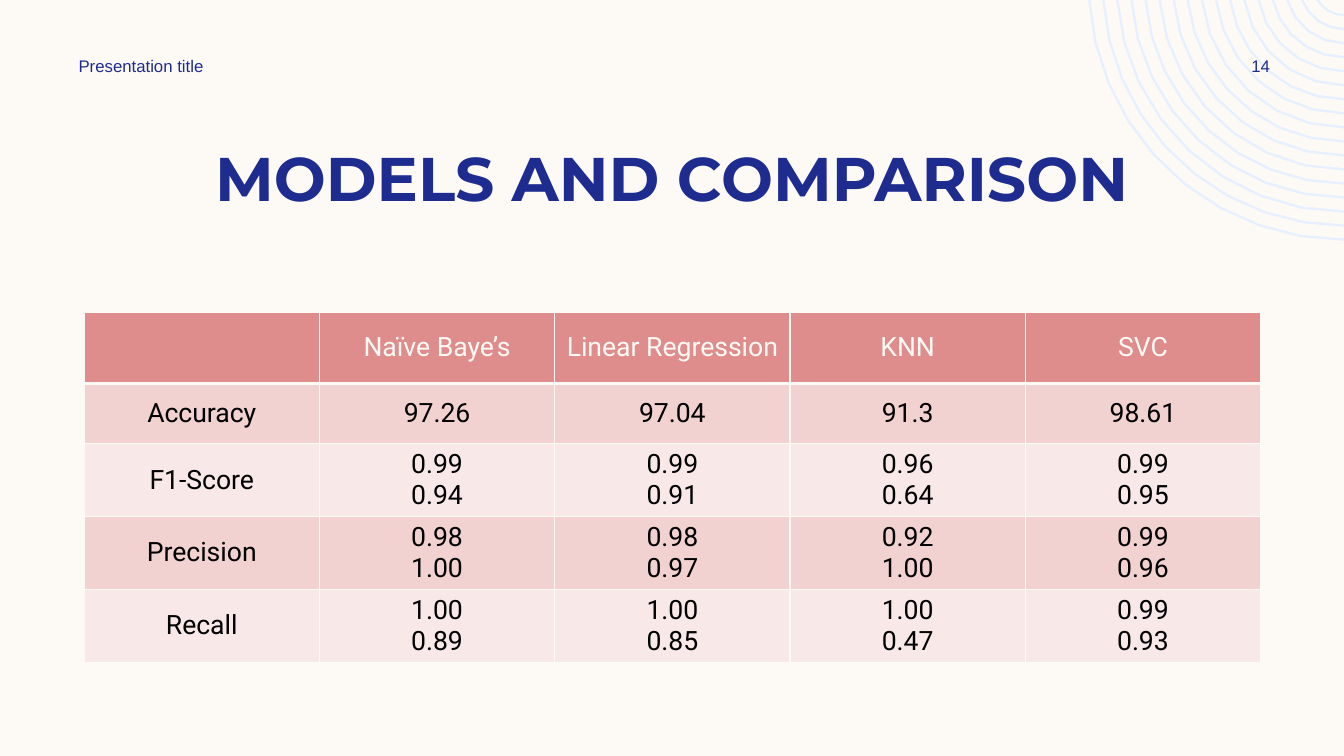
import math

import lxml.etree
import pptx
import pptx.dml.color
import pptx.enum.text
import pptx.oxml.ns
import pptx.util

Cm = pptx.util.Cm
Pt = pptx.util.Pt
ALIGN = pptx.enum.text.PP_ALIGN
MIDDLE = pptx.enum.text.MSO_ANCHOR.MIDDLE

COLORS = {
    "cream": "FDFAF6",
    "navy": "1F2C8F",
    "ring": "E6F0FE",
    "head": "DF8C8C",
    "dark": "F2D1D1",
    "light": "F8E8E8",
    "black": "000000",
}

ROWS = [
    ["", "Naïve Baye’s", "Linear Regression", "KNN", "SVC"],
    ["Accuracy", "97.26", "97.04", "91.3", "98.61"],
    ["F1-Score", "0.99\n0.94", "0.99\n0.91", "0.96\n0.64", "0.99\n0.95"],
    ["Precision", "0.98\n1.00", "0.98\n0.97", "0.92\n1.00", "0.99\n0.96"],
    ["Recall", "1.00\n0.89", "1.00\n0.85", "1.00\n0.47", "0.99\n0.93"],
]


def color(name):
    return pptx.dml.color.RGBColor.from_string(COLORS[name])


def write(frame, text, font="Arial", size=12, ink="navy", bold=False,
          align=ALIGN.LEFT):
    """Fill a text frame, one paragraph per line of text."""
    frame.text = text
    for para in frame.paragraphs:
        para.alignment = align
        para.line_spacing = 1.0
        para.font.name = font
        para.font.size = Pt(size)
        para.font.bold = bold
        para.font.color.rgb = color(ink)


class Deck:
    def __init__(self, width, height):
        self.show = pptx.Presentation()
        self.show.slide_width = Cm(width)
        self.show.slide_height = Cm(height)
        self.slide = None

    def page(self, back):
        self.slide = self.show.slides.add_slide(self.show.slide_layouts[5])
        fill = self.slide.background.fill
        fill.solid()
        fill.fore_color.rgb = color(back)

    def place(self, box, text, left, top, width, height, **style):
        box.left, box.top = Cm(left), Cm(top)
        box.width, box.height = Cm(width), Cm(height)
        box.text_frame.word_wrap = True
        box.text_frame.vertical_anchor = MIDDLE
        write(box.text_frame, text, **style)

    def title(self, text, *area, **style):
        self.place(self.slide.shapes.title, text, *area, **style)

    def label(self, text, *area, **style):
        box = self.slide.shapes.add_textbox(0, 0, 0, 0)
        self.place(box, text, *area, **style)

    def rings(self, mid_x, mid_y, first, last, count, band):
        """Draw concentric bands, cut by the top and right slide edges."""
        def arc(radius, steps):
            start = math.asin(-mid_y / radius)
            turn = (math.pi / 2 - start) / steps
            angles = [start + turn * i for i in range(steps + 1)]
            return [(Cm(mid_x - radius * math.cos(a)),
                     Cm(mid_y + radius * math.sin(a))) for a in angles]

        gap = (last - first) / (count - 1)
        form = None
        for i in range(count):
            outer = first + gap * i
            steps = 4 + i // 3
            points = arc(outer, steps) + arc(outer - band, steps)[::-1]
            if form is None:
                form = self.slide.shapes.build_freeform(*points[0])
            else:
                form.move_to(*points[0])
            form.add_line_segments(points[1:], close=True)
        shape = form.convert_to_shape()
        shape.shadow.inherit = False
        shape.fill.solid()
        shape.fill.fore_color.rgb = color("ring")
        shape.line.fill.background()

    def border(self, cell, widths):
        """Set the left, right, top and bottom lines of a cell, in points."""
        props = cell._tc.get_or_add_tcPr()
        qn = pptx.oxml.ns.qn
        for i, (side, width) in enumerate(zip("LRTB", widths)):
            line = lxml.etree.Element(qn(f"a:ln{side}"), w=str(Pt(width)))
            fill = lxml.etree.SubElement(line, qn("a:solidFill"))
            lxml.etree.SubElement(fill, qn("a:srgbClr"), val=COLORS["cream"])
            props.insert(i, line)

    def table(self, rows, left, top, col, heights, **style):
        grid = self.slide.shapes.add_table(
            len(rows), len(rows[0]), Cm(left), Cm(top),
            Cm(col * len(rows[0])), Cm(sum(heights))).table
        grid.first_row = grid.horz_banding = False
        for column in grid.columns:
            column.width = Cm(col)
        for r, row in enumerate(rows):
            grid.rows[r].height = Cm(heights[r])
            fill = "head" if r == 0 else "dark" if r % 2 else "light"
            edges = (1, 1, 3 if r == 1 else 1, 3 if r == 0 else 1)
            for c, text in enumerate(row):
                cell = grid.cell(r, c)
                cell.fill.solid()
                cell.fill.fore_color.rgb = color(fill)
                self.border(cell, edges)
                cell.vertical_anchor = MIDDLE
                cell.margin_left = cell.margin_right = Cm(0.27)
                cell.margin_top = cell.margin_bottom = Cm(0.13)
                write(cell.text_frame, text, align=ALIGN.CENTER,
                      ink="black" if r else "cream", **style)


def main():
    deck = Deck(33.87, 19.05)
    deck.page("cream")

    # Corner rings
    deck.rings(33.87, -0.39, first=0.8, last=6.46, count=17, band=0.06)

    # Heading
    deck.title("MODELS AND COMPARISON", 2.12, 3.38, 29.63, 2.13,
               font="Montserrat", size=44, bold=True, align=ALIGN.CENTER)

    # Scores
    deck.table(ROWS, 2.12, 7.86, col=5.93, heights=[1.8] + [1.52] * 4,
               font="Roboto", size=19)

    # Top line
    deck.label("Presentation title", 1.73, 1.27, 8.89, 0.76)
    deck.label("14", 30.4, 1.27, 2.74, 0.76, align=ALIGN.CENTER)

    deck.show.save("out.pptx")


if __name__ == "__main__":
    main()
